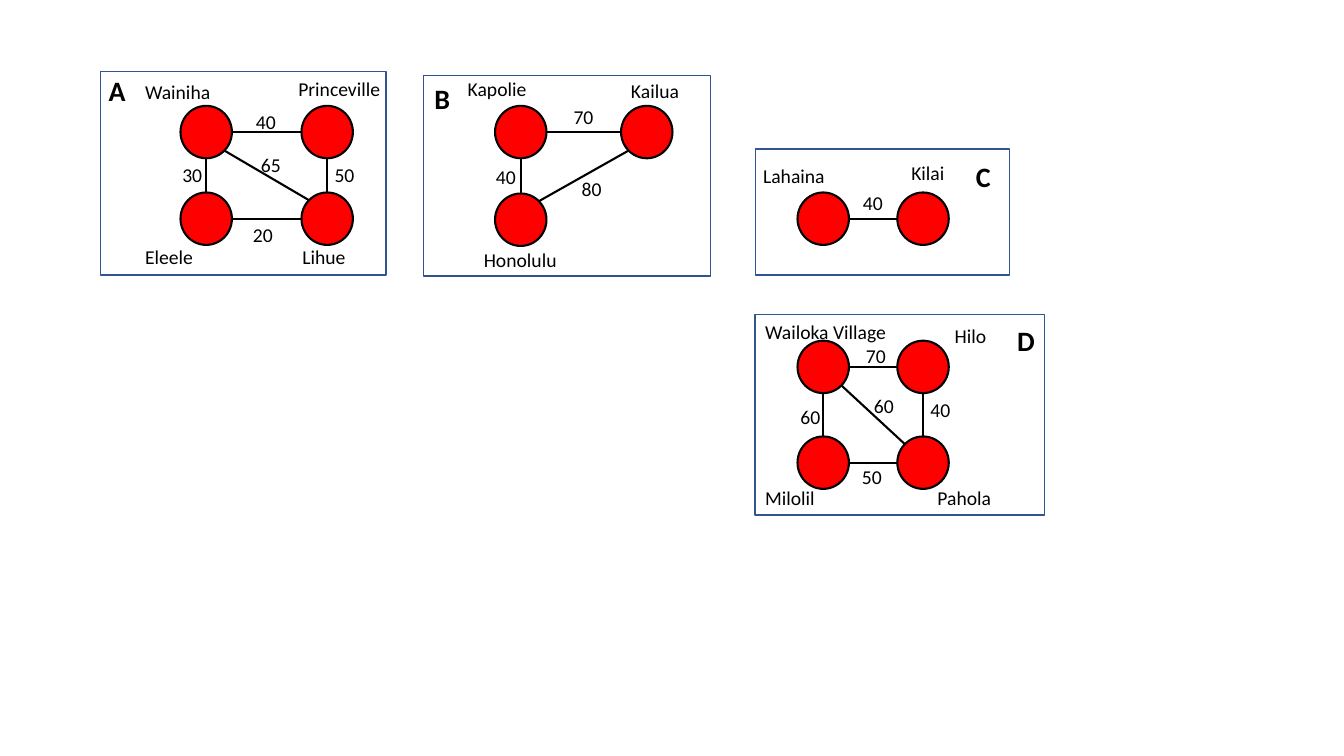
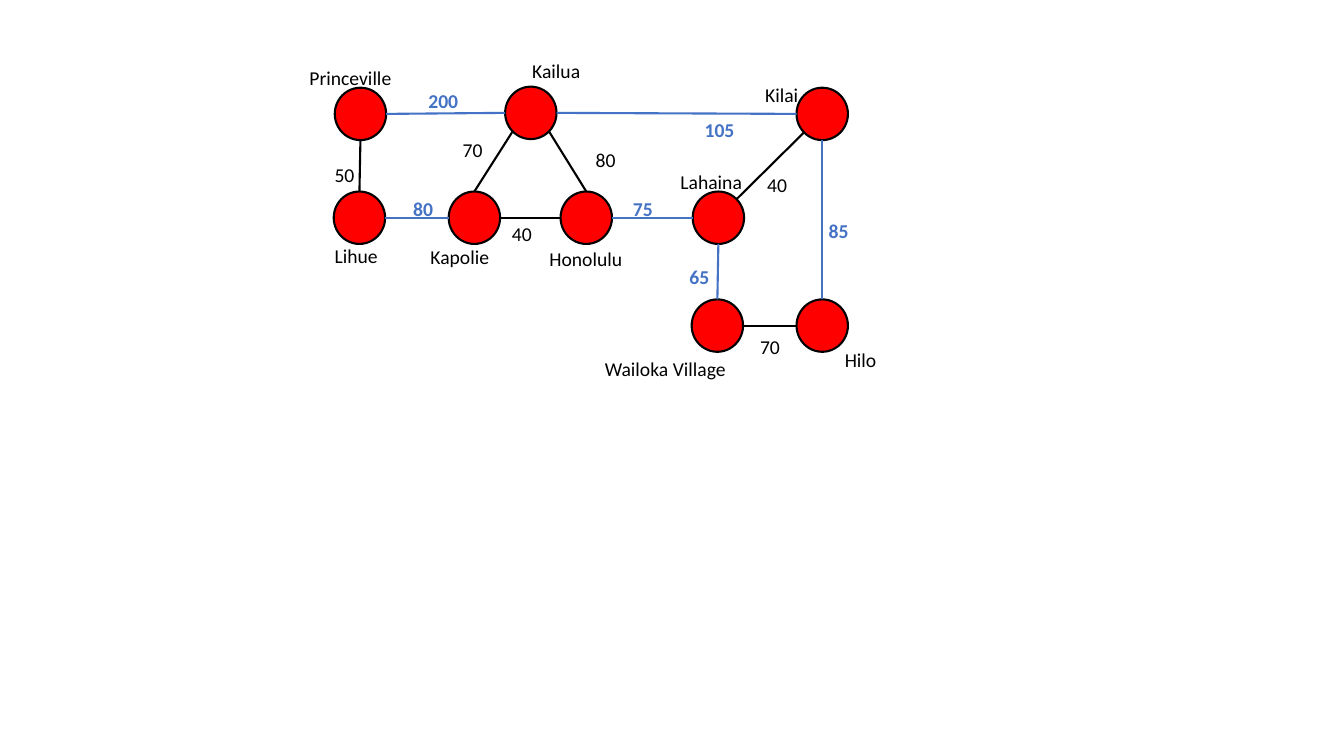
from lxml import etree
from pptx import Presentation
from pptx.dml.color import RGBColor
from pptx.enum.shapes import MSO_CONNECTOR, MSO_SHAPE
from pptx.enum.text import MSO_AUTO_SIZE
from pptx.oxml.ns import qn
from pptx.util import Inches, Pt

OVAL, RECT = MSO_SHAPE.OVAL, MSO_SHAPE.RECTANGLE
STRAIGHT = MSO_CONNECTOR.STRAIGHT
FIT_SHAPE = MSO_AUTO_SIZE.SHAPE_TO_FIT_TEXT

BLACK = RGBColor(0x00, 0x00, 0x00)
RED = RGBColor(0xFF, 0x00, 0x00)
BLUE = RGBColor(0x44, 0x72, 0xC4)
NAVY = RGBColor(0x32, 0x54, 0x91)

FONT = "Calibri"
NODE_W, NODE_H = 0.51, 0.52
LABEL_H, LETTER_H = 0.34, 0.44

NAME_WIDTHS = {
    "Wainiha": 0.86, "Princeville": 1.02, "Eleele": 0.68, "Lihue": 0.63,
    "Kapolie": 0.79, "Kailua": 0.68, "Honolulu": 0.93, "Lahaina": 0.82,
    "Kilai": 0.54, "Wailoka Village": 1.42, "Hilo": 0.52, "Milolil": 0.70,
    "Pahola": 0.74,
}

# Side of a town -> (connection site, x share, y share); 0.146 is the 45 degree point
SITES = {
    "N": (0, 0.5, 0), "NW": (1, 0.146, 0.146), "W": (2, 0, 0.5),
    "SW": (3, 0.146, 0.854), "S": (4, 0.5, 1), "SE": (5, 0.854, 0.854),
    "E": (6, 1, 0.5), "NE": (7, 0.854, 0.146),
}

# Towns: name -> (circle left, top, name left, top)
# Roads: (from, side, to, side, distance, distance left, top)
# Islands: (letter, frame, letter left, top, width)
ISLAND_MAP = {
    "towns": {
        "Wainiha": (1.79, 1.05, 1.34, 0.74),
        "Princeville": (2.99, 1.05, 2.86, 0.71),
        "Eleele": (1.79, 1.91, 1.34, 2.38),
        "Lihue": (2.99, 1.91, 2.90, 2.38),
        "Kapolie": (4.91, 1.05, 4.54, 0.71),
        "Kailua": (6.16, 1.05, 6.16, 0.73),
        "Honolulu": (4.91, 1.92, 4.70, 2.41),
        "Lahaina": (7.91, 1.91, 7.47, 1.58),
        "Kilai": (8.90, 1.91, 8.94, 1.55),
        "Wailoka Village": (7.91, 3.38, 7.49, 3.12),
        "Hilo": (8.90, 3.38, 9.37, 3.16),
        "Milolil": (7.91, 4.33, 7.49, 4.77),
        "Pahola": (8.90, 4.33, 9.20, 4.77),
    },
    "islands": [
        ("A", (1.00, 0.71, 2.83, 2.02), 0.98, 0.68, 0.37),
        ("B", (4.20, 0.75, 2.85, 1.99), 4.21, 0.76, 0.37),
        ("C", (7.49, 1.48, 2.52, 1.25), 9.58, 1.53, 0.35),
        ("D", (7.49, 3.12, 2.87, 1.99), 9.99, 3.16, 0.38),
    ],
    "roads": [
        ("Wainiha", "E", "Princeville", "W", 40, 2.44, 1.04),
        ("Wainiha", "SE", "Lihue", "NW", 65, 2.49, 1.47),
        ("Wainiha", "S", "Eleele", "N", 30, 1.71, 1.57),
        ("Lihue", "W", "Eleele", "E", 20, 2.41, 2.16),
        ("Princeville", "S", "Lihue", "N", 50, 3.22, 1.57),
        ("Kapolie", "E", "Kailua", "W", 70, 5.59, 0.99),
        ("Kapolie", "S", "Honolulu", "N", 40, 4.82, 1.59),
        ("Honolulu", "NE", "Kailua", "SW", 80, 5.67, 1.71),
        ("Lahaina", "E", "Kilai", "W", 40, 8.46, 1.84),
        ("Wailoka Village", "E", "Hilo", "W", 70, 8.49, 3.36),
        ("Wailoka Village", "S", "Milolil", "N", 60, 7.84, 3.97),
        ("Milolil", "E", "Pahola", "W", 50, 8.45, 4.56),
        ("Pahola", "NW", "Wailoka Village", "SE", 60, 8.57, 3.86),
        ("Hilo", "S", "Pahola", "N", 40, 9.13, 3.90),
    ],
    "links": [],
}
JOINED_MAP = {
    "towns": {
        "Princeville": (3.32, 0.87, 2.97, 0.60),
        "Lihue": (3.31, 1.90, 3.22, 2.37),
        "Kapolie": (4.45, 1.90, 4.17, 2.38),
        "Kailua": (5.01, 0.86, 5.18, 0.54),
        "Honolulu": (5.56, 1.90, 5.35, 2.40),
        "Lahaina": (6.87, 1.90, 6.65, 1.64),
        "Kilai": (7.90, 0.87, 7.49, 0.77),
        "Hilo": (7.90, 2.97, 8.28, 3.40),
        "Wailoka Village": (6.86, 2.97, 5.90, 3.49),
    },
    "islands": [],
    "roads": [
        ("Princeville", "S", "Lihue", "N", 50, 3.22, 1.57),
        ("Kapolie", "N", "Kailua", "SW", 70, 4.49, 1.32),
        ("Kapolie", "E", "Honolulu", "W", 40, 4.98, 2.15),
        ("Honolulu", "N", "Kailua", "SE", 80, 5.81, 1.42),
        ("Lahaina", "NE", "Kilai", "SW", 40, 7.51, 1.67),
        ("Wailoka Village", "E", "Hilo", "W", 70, 7.44, 3.27),
    ],
    "links": [
        ("Princeville", "E", "Kailua", "W", 200, 4.15, 0.83),
        ("Lihue", "E", "Kapolie", "W", 80, 4.00, 1.90),
        ("Kailua", "E", "Kilai", "W", 105, 6.89, 1.12),
        ("Honolulu", "E", "Lahaina", "W", 75, 6.18, 1.90),
        ("Kilai", "S", "Hilo", "N", 85, 8.12, 2.12),
        ("Lahaina", "S", "Wailoka Village", "N", 65, 6.74, 2.58),
    ],
}


def add_text(slide, text, x, y, w, h=LABEL_H, size=14, color=BLACK, bold=False):
    """Add a one-line, unwrapped text box."""
    sp = slide.shapes.add_textbox(Inches(x), Inches(y), Inches(w), Inches(h))
    tf = sp.text_frame
    tf.word_wrap = False
    tf.auto_size = FIT_SHAPE
    r = tf.paragraphs[0].add_run()
    r.text = text
    r.font.name, r.font.size, r.font.bold = FONT, Pt(size), bold
    r.font.color.rgb = color


def add_outlined(slide, kind, box, line, width, fill=None):
    """Add a preset shape with an outline and an optional fill."""
    sp = slide.shapes.add_shape(kind, *map(Inches, box))
    sp.shadow.inherit = False
    if fill is None:
        sp.fill.background()
    else:
        sp.fill.solid()
        sp.fill.fore_color.rgb = fill
    sp.line.color.rgb, sp.line.width = line, Pt(width)
    return sp


def add_road(slide, start, start_side, end, end_side, color):
    """Join two towns with a straight connector glued to both circles."""
    ends, glue = [], []
    for tag, town, side in (("a:stCxn", start, start_side), ("a:endCxn", end, end_side)):
        site, fx, fy = SITES[side]
        ends += [int(town.left + fx * town.width), int(town.top + fy * town.height)]
        glue.append((tag, town.shape_id, site))
    cxn = slide.shapes.add_connector(STRAIGHT, *ends)
    cxn.line.color.rgb, cxn.line.width = color, Pt(1.5)
    element = cxn._element
    etree.SubElement(element.spPr, qn("a:effectLst"))
    holder = element.find(".//" + qn("p:cNvCxnSpPr"))
    for tag, shape_id, site in glue:
        etree.SubElement(holder, qn(tag), id=str(shape_id), idx=str(site))


def add_roads(slide, circles, roads, color=BLACK, bold=False):
    """Draw a set of roads, then their distances on top."""
    for start, start_side, end, end_side, *_ in roads:
        add_road(slide, circles[start], start_side, circles[end], end_side, color)
    for *_, distance, x, y in roads:
        text = str(distance)
        add_text(slide, text, x, y, 0.1 + 0.1 * (len(text) + 1), color=color, bold=bold) \
            if len(text) > 2 else add_text(slide, text, x, y, 0.4, color=color, bold=bold)


def build_map(prs, content):
    """Build one slide with towns, island frames, roads and links."""
    slide = prs.slides.add_slide(prs.slide_layouts[6])
    towns, islands = content["towns"], content["islands"]
    circles = {
        name: add_outlined(slide, OVAL, (x, y, NODE_W, NODE_H), BLACK, 1.5, fill=RED)
        for name, (x, y, *_) in towns.items()
    }
    for _, frame, *_ in islands:
        add_outlined(slide, RECT, frame, NAVY, 1)
    for name, (_, _, x, y) in towns.items():
        add_text(slide, name, x, y, NAME_WIDTHS[name])
    add_roads(slide, circles, content["roads"])
    add_roads(slide, circles, content["links"], color=BLUE, bold=True)
    for letter, _, x, y, w in islands:
        add_text(slide, letter, x, y, w, h=LETTER_H, size=20, bold=True)


prs = Presentation()
prs.slide_width, prs.slide_height = Inches(13.33), Inches(7.5)
for content in (ISLAND_MAP, JOINED_MAP):
    build_map(prs, content)
prs.save("out.pptx")
